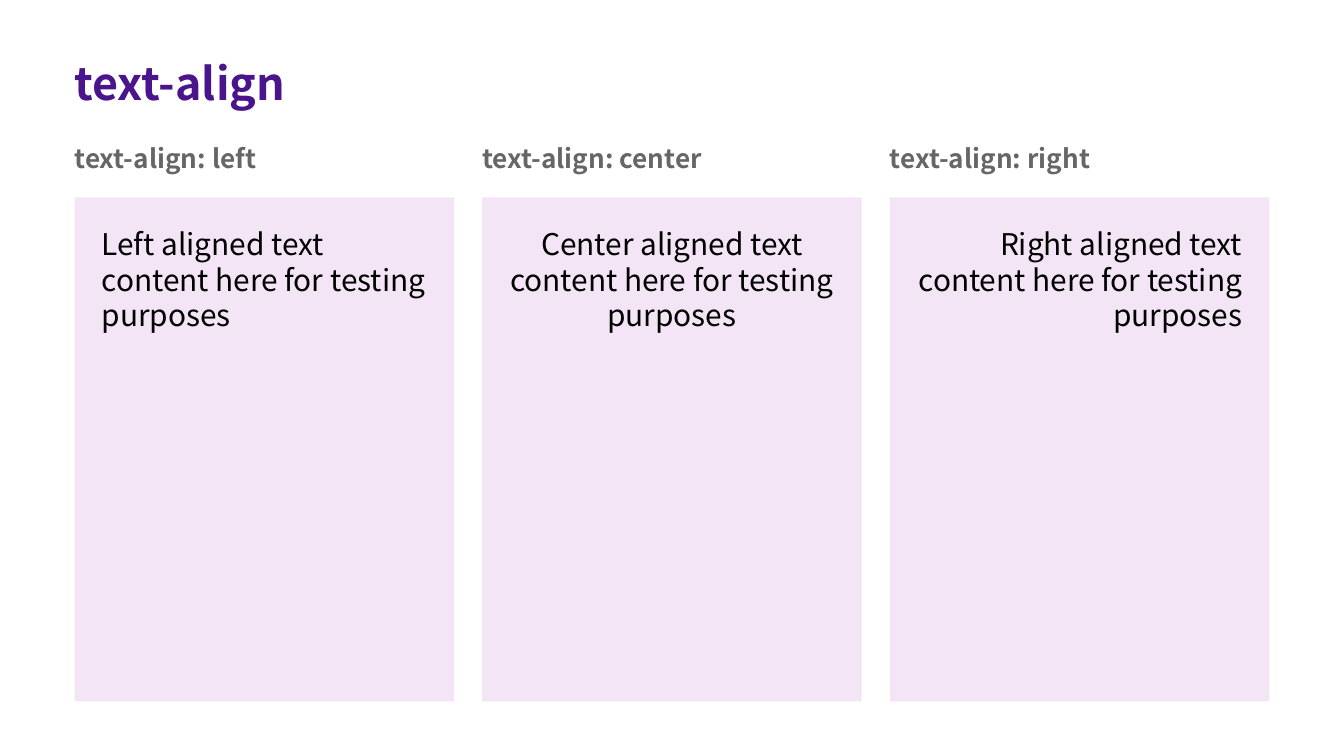
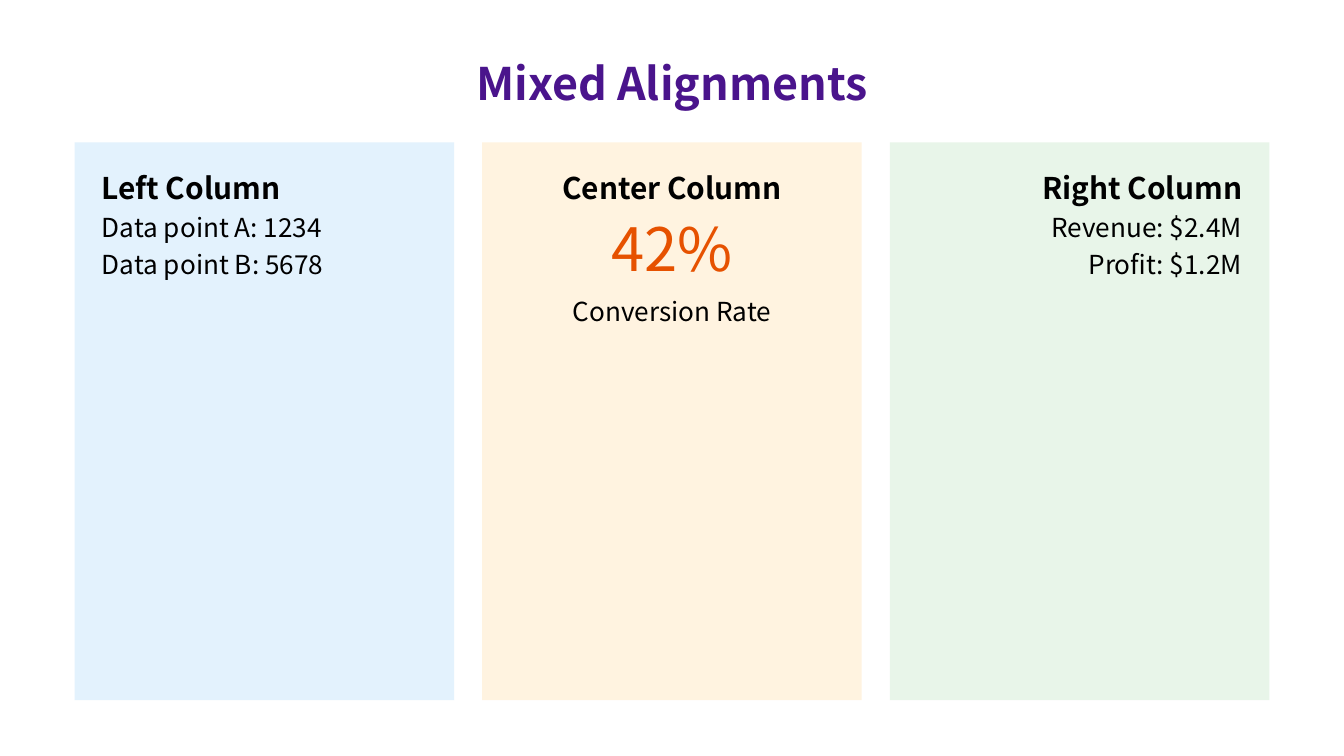
"""Build two slides that show horizontal text alignment."""
from pptx import Presentation
from pptx import util as u
from pptx.dml.color import RGBColor
from pptx.enum import shapes, text

PURPLE = RGBColor(0x4A, 0x14, 0x8C)
GREY = RGBColor(0x66, 0x66, 0x66)
BLACK = RGBColor(0, 0, 0)
ORANGE = RGBColor(0xE6, 0x51, 0x00)
LILAC = RGBColor(0xF3, 0xE5, 0xF5)
PALE_BLUE = RGBColor(0xE3, 0xF2, 0xFD)
PALE_ORANGE = RGBColor(0xFF, 0xF3, 0xE0)
PALE_GREEN = RGBColor(0xE8, 0xF5, 0xE9)

FONT = "Noto Sans CJK SC"
LEFT, CENTER, RIGHT = text.PP_ALIGN.LEFT, text.PP_ALIGN.CENTER, text.PP_ALIGN.RIGHT
ALIGNS = (LEFT, CENTER, RIGHT)

MARGIN, CONTENT_W, GAP = 40, 640, 15
COL_W = (CONTENT_W - 2 * GAP) / 3
PAD = 14.5
TEXT_W = COL_W - 2 * PAD
BODY_TOP = 76.3
LINE = 1.41

TITLE = {"size": u.Pt(24), "bold": True, "color": PURPLE}
LABEL = {"size": u.Pt(14), "bold": True, "color": GREY}
BODY = {"size": u.Pt(16), "bold": False, "color": BLACK}
HEADING = {"size": u.Pt(16), "bold": True, "color": BLACK}
DETAIL = {"size": u.Pt(14), "bold": False, "color": BLACK}
FIGURE = {"size": u.Pt(32), "bold": False, "color": ORANGE}


def add_text(s, words, x, y, w, h, style, align=LEFT):
    """Add a text box without insets."""
    tf = s.shapes.add_textbox(u.Pt(x), u.Pt(y), u.Pt(w), u.Pt(h)).text_frame
    tf.word_wrap = True
    for side in ("left", "top", "right", "bottom"):
        setattr(tf, f"margin_{side}", 0)
    p = tf.paragraphs[0]
    p.alignment = align
    r = p.add_run()
    r.text = words
    r.font.name = FONT
    for name, value in style.items():
        if name == "color":
            r.font.color.rgb = value
        else:
            setattr(r.font, name, value)


def add_panel(s, x, y, h, color):
    """Add the plain filled background of a column."""
    sp = s.shapes.add_shape(
        shapes.MSO_SHAPE.RECTANGLE, u.Pt(x), u.Pt(y), u.Pt(COL_W), u.Pt(h))
    sp.shadow.inherit = False
    sp.fill.solid()
    sp.fill.fore_color.rgb = color
    sp.line.fill.background()


def add_stack(s, x, y, rows, align):
    """Add lines of text, each placed directly below the one before."""
    for words, style in rows:
        h = style["size"].pt * LINE
        add_text(s, words, x, y, TEXT_W, h, style, align)
        y += h


def add_slide(prs, title, align=LEFT):
    """Add a blank slide with its title."""
    s = prs.slides.add_slide(prs.slide_layouts[6])
    add_text(s, title, MARGIN, 30, CONTENT_W, 34, TITLE, align)
    return s


def column_x(i):
    """Return the left edge of a column."""
    return MARGIN + i * (COL_W + GAP)


def add_text_align_slide(prs):
    """Show one sentence in each alignment."""
    s = add_slide(prs, "text-align")
    top = 105.8
    for i, (word, align) in enumerate(zip(("left", "center", "right"), ALIGNS)):
        x = column_x(i)
        add_text(s, f"text-align: {word}", x, BODY_TOP, COL_W, 21, LABEL)
        add_panel(s, x, top, 270, LILAC)
        add_text(s, f"{word.title()} aligned text content here for testing purposes",
                 x + PAD, top + 15, TEXT_W, 67.7, BODY, align)


def add_mixed_slide(prs):
    """Show columns of data in different alignments."""
    s = add_slide(prs, "Mixed Alignments", CENTER)
    columns = (
        (PALE_BLUE, (("Left Column", HEADING), ("Data point A: 1234", DETAIL),
                     ("Data point B: 5678", DETAIL))),
        (PALE_ORANGE, (("Center Column", HEADING), ("42%", FIGURE),
                       ("Conversion Rate", DETAIL))),
        (PALE_GREEN, (("Right Column", HEADING), ("Revenue: $2.4M", DETAIL),
                      ("Profit: $1.2M", DETAIL))),
    )
    for i, ((color, rows), align) in enumerate(zip(columns, ALIGNS)):
        x = column_x(i)
        add_panel(s, x, BODY_TOP, 298.8, color)
        add_stack(s, x + PAD, BODY_TOP + PAD, rows, align)


def main():
    """Build and save the presentation."""
    prs = Presentation()
    prs.slide_width, prs.slide_height = u.Pt(720), u.Pt(405)
    add_text_align_slide(prs)
    add_mixed_slide(prs)
    prs.save("out.pptx")


if __name__ == "__main__":
    main()
